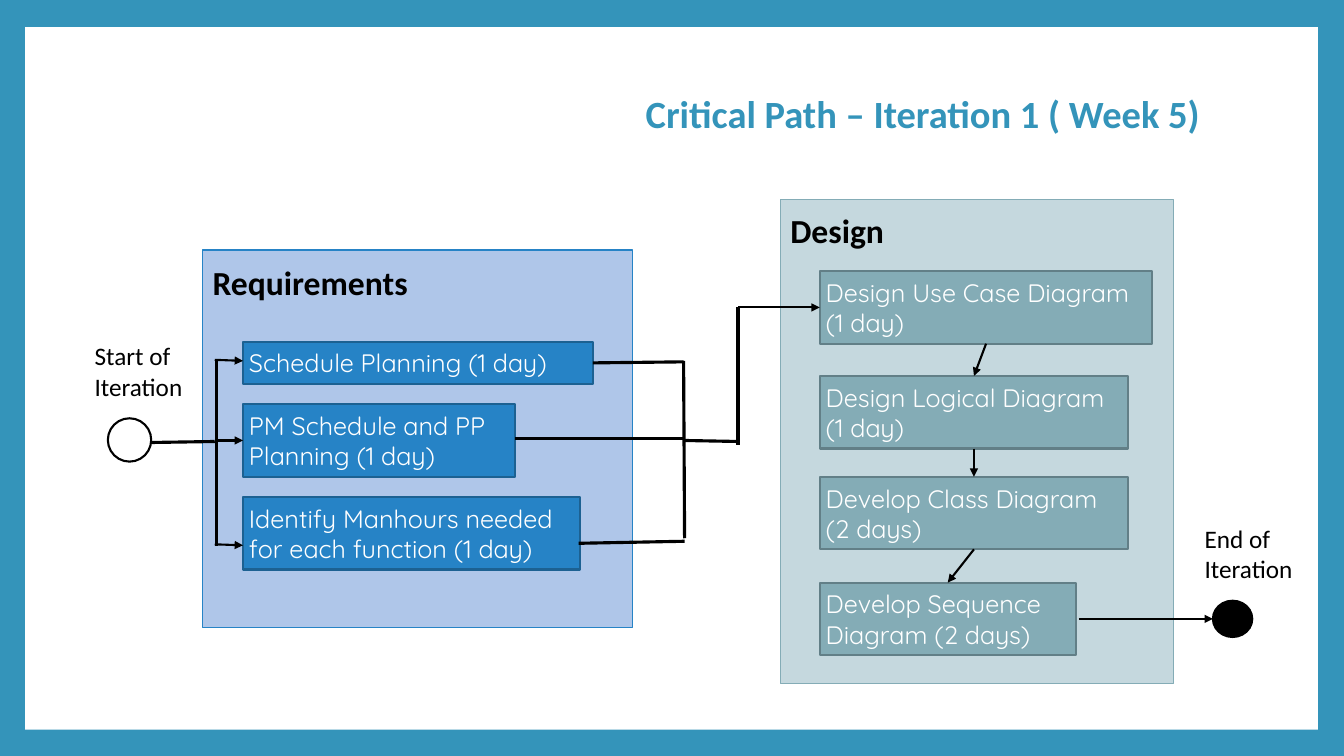
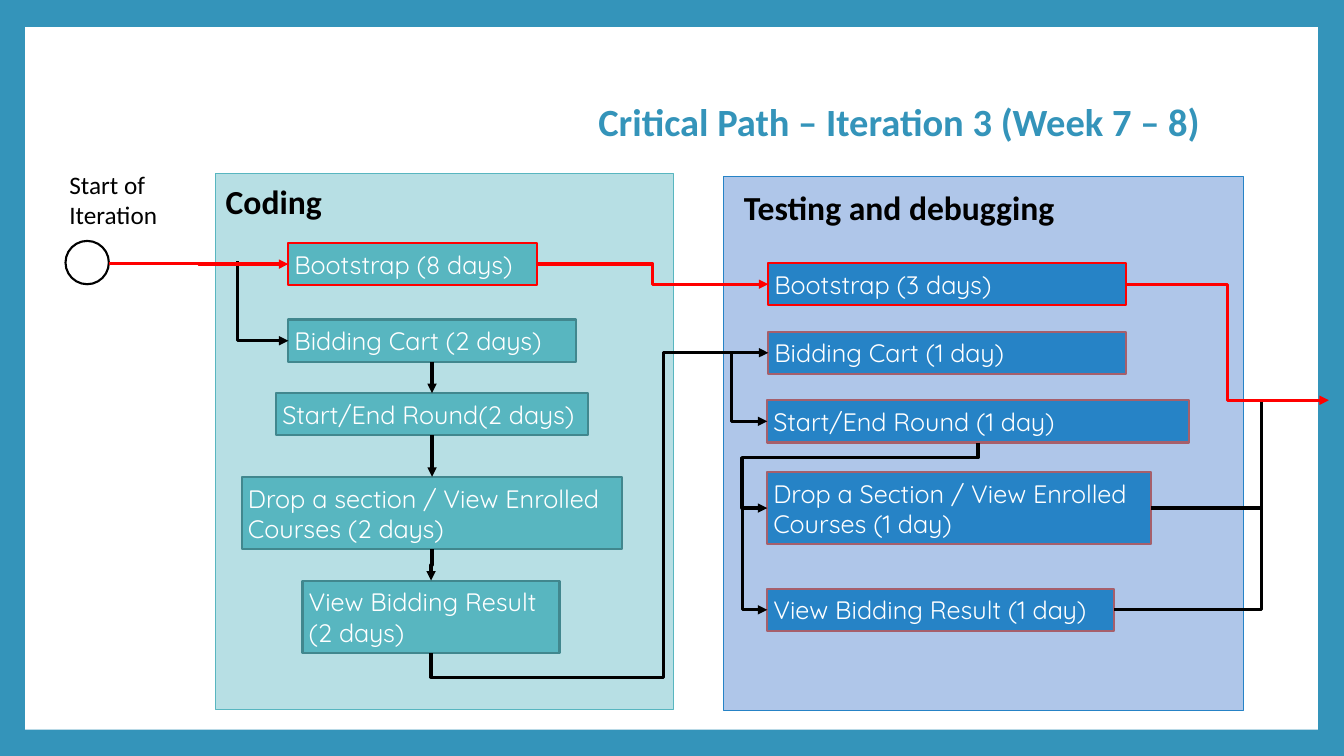
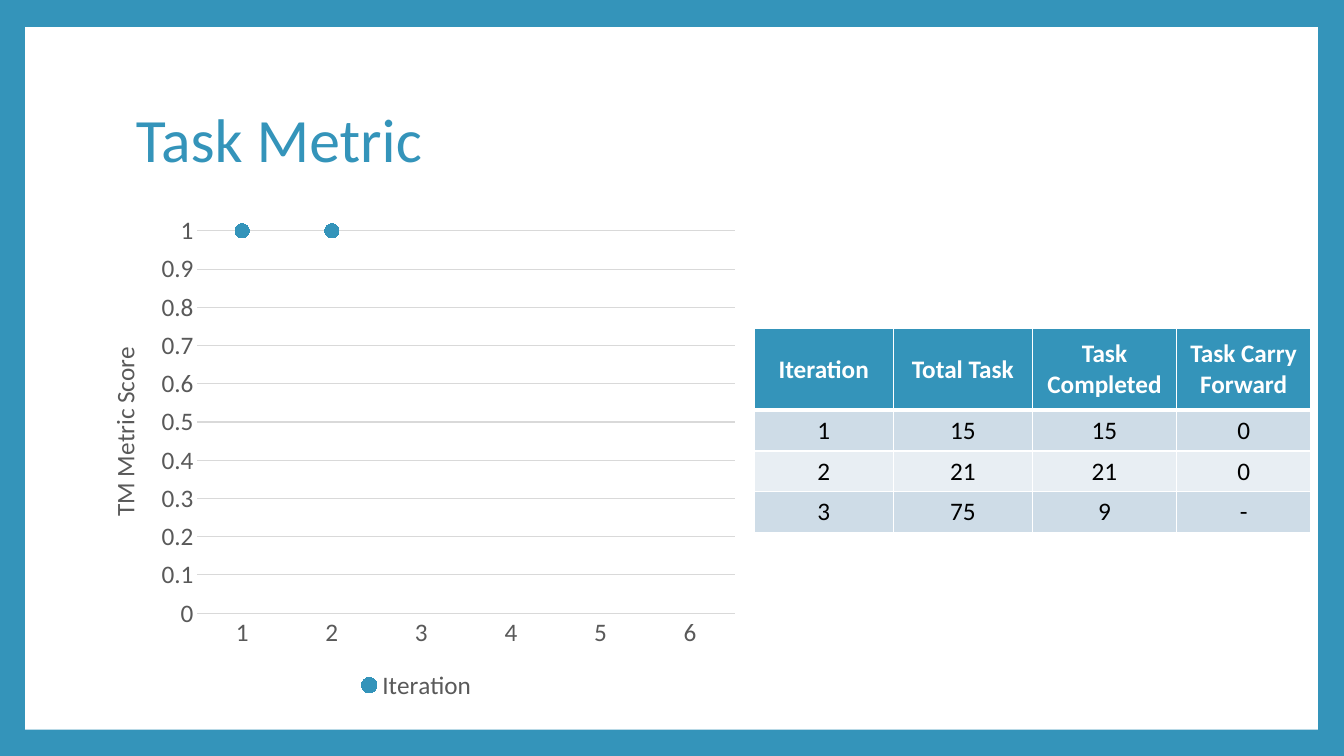
import lxml.etree
import pptx
import pptx.chart.data
import pptx.dml.color
import pptx.enum.chart
import pptx.enum.shapes
import pptx.enum.text
import pptx.oxml.ns
import pptx.util

# Shared look
ACCENT, WHITE, BLACK, RED = "3494BA", "FFFFFF", "000000", "FF0000"
GREY, GRID_GREY = "595959", "D9D9D9"
BLUE, PALE_BLUE = "2683C6", "AFC6E9"
TEAL, PALE_TEAL = "58B6C0", "B7DFE4"
SAGE, PALE_SAGE = "84ACB6", "C5D8DE"
BODY_FONT, TASK_FONT = "Calibri", "Quicksand"

colour = pptx.dml.color.RGBColor.from_string
qualified = pptx.oxml.ns.qn
SHAPES = pptx.enum.shapes.MSO_SHAPE
CONNECTORS = pptx.enum.shapes.MSO_CONNECTOR
ALIGN = pptx.enum.text.PP_ALIGN
ANCHOR = pptx.enum.text.MSO_ANCHOR
TOP, LEFT, BOTTOM, RIGHT = range(4)

# The slide is a grid of 75 rows; columns are as wide as rows are high
presentation = pptx.Presentation()
presentation.slide_width = pptx.util.Inches(13.33)
presentation.slide_height = pptx.util.Inches(7.5)
CELL = presentation.slide_height // 75


def add_box(slide, place, text="", kind=None, fill=None, line=None, width=1.5,
            size=18, font=BODY_FONT, ink=BLACK, bold=False, align=ALIGN.LEFT,
            anchor=ANCHOR.TOP, inset=None, spacing=None):
    """Add a preset shape, or a text box when no kind is given."""
    place = [int(length * CELL) for length in place]
    if kind is None:
        shape = slide.shapes.add_textbox(*place)
    else:
        shape = slide.shapes.add_shape(kind, *place)
        shape.shadow.inherit = False
        shape.fill.solid()
        shape.fill.fore_color.rgb = colour(fill)
        if line:
            shape.line.color.rgb = colour(line)
            shape.line.width = pptx.util.Pt(width)
        else:
            shape.line.fill.background()
    if text:
        frame = shape.text_frame
        frame.word_wrap = True
        frame.vertical_anchor = anchor
        if inset:
            frame.margin_left = frame.margin_right = int(inset * CELL)
            frame.margin_top = frame.margin_bottom = int(inset * CELL)
        paragraph = frame.paragraphs[0]
        paragraph.alignment = align
        paragraph.line_spacing = spacing
        run = paragraph.add_run()
        run.text = text
        run.font.name, run.font.size, run.font.bold = font, pptx.util.Pt(size), bold
        run.font.color.rgb = colour(ink)
    return shape


def add_line(slide, start, end, arrow=True, line=BLACK, width=2.25, bend=None):
    """Join two ends, each a grid point or a (shape, side) pair.

    A bend is a preset number, a turn in degrees, flipped axes and adjustments.
    """
    joined = [hasattr(stop[0], "shape_id") for stop in (start, end)]
    points = [(0, 0) if glued else [int(length * CELL) for length in stop]
              for stop, glued in zip((start, end), joined)]
    connector = slide.shapes.add_connector(
        CONNECTORS.ELBOW if bend else CONNECTORS.STRAIGHT, *points[0], *points[1])
    if joined[0]:
        connector.begin_connect(*start)
    if joined[1]:
        connector.end_connect(*end)
    connector.line.color.rgb = colour(line)
    connector.line.width = pptx.util.Pt(width)
    properties = connector.element.spPr
    if arrow:
        outline = properties.find(qualified("a:ln"))
        lxml.etree.SubElement(outline, qualified("a:tailEnd"), type="triangle")
    lxml.etree.SubElement(properties, qualified("a:effectLst"))
    if bend:
        preset, turn, flips, adjustments = bend
        if turn in (90, 270):
            across, down = connector.width, connector.height
            connector.left += (across - down) // 2
            connector.top += (down - across) // 2
            connector.width, connector.height = down, across
        frame = properties.find(qualified("a:xfrm"))
        frame.set("rot", str(turn * 60000))
        for axis in "HV":
            frame.set("flip" + axis, str(int(axis in flips)))
        geometry = properties.find(qualified("a:prstGeom"))
        geometry.set("prst", f"bentConnector{preset}")
        guides = geometry.find(qualified("a:avLst"))
        for number, share in enumerate(adjustments, 1):
            lxml.etree.SubElement(guides, qualified("a:gd"), name=f"adj{number}",
                                  fmla=f"val {round(share * 100000)}")


# Blue background and white panel, held by the master
master = presentation.slide_master
master.background.fill.solid()
master.background.fill.fore_color.rgb = colour(ACCENT)
blank = presentation.slide_layouts[6]
slides = [presentation.slides.add_slide(blank) for _ in range(3)]
panel = add_box(slides[0], (2.5, 2.7, 128.2, 69.7), kind=SHAPES.RECTANGLE, fill=WHITE)
master.shapes.element.insert(2, panel.element)

# Titles
for slide, place, text, size, bold, align in (
        (slides[0], (15, 7.5, 105, 8), "Critical Path – Iteration 1 ( Week 5)", 27.5, True, ALIGN.RIGHT),
        (slides[1], (15, 7.5, 105, 9.7), "Critical Path – Iteration 3 (Week 7 – 8)", 27.5, True, ALIGN.RIGHT),
        (slides[2], (12.5, 6.7, 108, 14.8), "Task Metric", 44, False, ALIGN.LEFT)):
    add_box(slide, place, text, size=size, ink=ACCENT, bold=bold, align=align,
            anchor=ANCHOR.MIDDLE, spacing=0.9)

# Phases: slide, area, heading place, heading, pale fill, fill, outline, then tasks
# as left, top, width, number of lines, text and outline where it differs
phases = (
    (slides[0], (20.1, 24.8, 42.6, 37.5), (20.1, 25.5, 42.6, 5), "Requirements",
     PALE_BLUE, BLUE, "1C6192", (
         (24.1, 33.9, 34.7, 1, "Schedule Planning (1 day)"),
         (24.1, 40.1, 27, 2, "PM Schedule and PP Planning (1 day)"),
         (24.1, 49.3, 33.4, 2, "Identify Manhours needed for each function (1 day)"))),
    (slides[0], (77.4, 19.8, 39, 48), (77.4, 20.3, 39, 5), "Design",
     PALE_SAGE, SAGE, "627F87", (
         (81.3, 26.9, 33, 2, "Design Use Case Diagram (1 day)"),
         (81.3, 37.3, 30.6, 2, "Design Logical Diagram (1 day)"),
         (81.3, 47.3, 30.6, 2, "Develop Class Diagram (2 days)"),
         (81.3, 57.8, 25.4, 2, "Develop Sequence Diagram (2 days)"))),
    (slides[1], (21.4, 17.2, 45.4, 53.2), (21.4, 17.5, 45.4, 5), "Coding",
     PALE_TEAL, TEAL, "41878E", (
         (28.6, 24.1, 24.7, 1, "Bootstrap (8 days)", RED),
         (28.6, 31.7, 28.5, 1, "Bidding Cart (2 days)"),
         (27.4, 39, 30.9, 1, "Start/End Round(2 days)"),
         (24, 47.3, 37.7, 2, "Drop a section / View Enrolled Courses (2 days)"),
         (30, 57.6, 25.5, 2, "View Bidding Result (2 days)"))),
    (slides[1], (71.8, 17.5, 51.5, 53), (72.8, 18.1, 40.7, 5), "Testing and debugging",
     PALE_BLUE, BLUE, "A65F6B", (
         (76.2, 26.1, 35.5, 1, "Bootstrap (3 days)", RED),
         (76.2, 32.9, 35.5, 1, "Bidding Cart (1 day)"),
         (76.1, 39.7, 41.8, 1, "Start/End Round (1 day)"),
         (76.1, 46.8, 38.1, 2, "Drop a Section / View Enrolled Courses (1 day)"),
         (76.1, 58.4, 34.4, 1, "View Bidding Result (1 day)"))),
)
tasks = {}
for slide, area, heading_place, heading, pale, fill, outline, rows in phases:
    add_box(slide, area, kind=SHAPES.RECTANGLE, fill=pale, line=fill, width=0.8)
    add_box(slide, heading_place, heading, size=24, bold=True)
    tasks[heading] = [
        add_box(slide, (left, top, width, 1.2 + 3 * lines), text, SHAPES.RECTANGLE,
                fill, special[0] if special else outline, font=TASK_FONT, ink=WHITE,
                anchor=ANCHOR.MIDDLE, inset=0.6)
        for left, top, width, lines, text, *special in rows]

# Start and end marks
for slide, circle, fill, label_place, label in (
        (slides[0], (10.7, 41.5, 4.3, 4.3), WHITE, (8.4, 33.3, 11.3, 7.1), "Start of Iteration"),
        (slides[0], (120.3, 59.6, 3.9, 3.6), BLACK, (118.5, 51.4, 11.3, 7.1), "End of Iteration"),
        (slides[1], (6.5, 23.9, 4.3, 4.3), WHITE, (5.9, 16.3, 11.3, 7.1), "Start of Iteration")):
    add_box(slide, circle, kind=SHAPES.OVAL, fill=fill, line=BLACK)
    add_box(slide, label_place, label)

# Iteration 1: fan out to the requirements, gather, then go on to design
schedule, planning, manhours = tasks["Requirements"]
design = tasks["Design"]
for start, end in (
        ((15, 43.9), (21.3, 43.8)),
        ((21.5, 35.7), (21.5, 54.2)),
        ((schedule, RIGHT), (67.8, 35.9)),
        ((51.1, 43.5), (67.8, 43.5)),
        ((57.4, 53.9), (67.9, 53.7)),
        ((67.8, 35.8), (67.9, 53.4)),
        ((67.8, 43.7), (73.3, 43.8)),
        ((73.2, 30.5), (73.2, 44.1))):
    add_line(slides[0], start, end, arrow=False)
for start, end in (
        ((21.3, 35.7), (24.1, 35.8)),
        ((21.5, 43.7), (planning, LEFT)),
        ((21.3, 54), (24.1, 54.1)),
        ((73.2, 30.5), (design[0], LEFT)),
        ((107, 61.4), (120.3, 61.4)),
        *(((upper, BOTTOM), (lower, TOP)) for upper, lower in zip(design, design[1:]))):
    add_line(slides[0], start, end, width=1.5)

# Iteration 3: coding steps run down, then on to testing
coding = tasks["Coding"]
bootstrap, cart, rounds, section, result = tasks["Testing and debugging"]
middle_bend = (3, 0, "", (0.5,))
down_bend = (3, 90, "", (0.5,))
corner_bend = (2, 270, "H", ())
for start, end, bend in (
        ((23.6, 25.9), (coding[1], LEFT), corner_bend),
        *(((upper, BOTTOM), (lower, TOP), down_bend)
          for upper, lower in zip(coding[1:], coding[2:])),
        ((coding[4], BOTTOM), (cart, LEFT), (4, 90, "HV", (-0.08, 0.69))),
        ((69, 35), (rounds, LEFT), middle_bend),
        ((rounds, BOTTOM), (section, LEFT), (4, 90, "", (0.23, 1.12))),
        ((73.6, 46.8), (result, LEFT), corner_bend)):
    add_line(slides[1], start, end, bend=bend)
add_line(slides[1], (125.1, 39.7), (result, RIGHT), arrow=False, bend=(2, 90, "", ()))
add_line(slides[1], (125.1, 50.4), (section, RIGHT), arrow=False)

# Critical path in red
for start, end, bend in (
        ((10.8, 26.1), (coding[0], LEFT), middle_bend),
        ((coding[0], RIGHT), (bootstrap, LEFT), middle_bend),
        ((bootstrap, RIGHT), (131.8, 39.7), middle_bend)):
    add_line(slides[1], start, end, line=RED, bend=bend)

# Task metric chart
chart_data = pptx.chart.data.CategoryChartData()
chart_data.categories = ["1", "2", "3", "4", "5", "6"]
chart_data.add_series("Iteration", (1, 1, None, None, None, None))
chart = slides[2].shapes.add_chart(
    pptx.enum.chart.XL_CHART_TYPE.LINE_MARKERS,
    *(int(length * CELL) for length in (8.4, 20.4, 65.8, 49.6)), chart_data).chart
chart.has_title = False
chart.font.name, chart.font.size = BODY_FONT, pptx.util.Pt(18)
chart.font.color.rgb = colour(GREY)
chart.has_legend = True
chart.legend.position = pptx.enum.chart.XL_LEGEND_POSITION.BOTTOM
chart.legend.include_in_layout = False
chart.plots[0].vary_by_categories = False

series = chart.plots[0].series[0]
series.smooth = False
series.format.line.fill.background()
series.marker.style = pptx.enum.chart.XL_MARKER_STYLE.CIRCLE
series.marker.size = 10
series.marker.format.fill.solid()
series.marker.format.fill.fore_color.rgb = colour(ACCENT)
series.marker.format.line.color.rgb = colour(ACCENT)

value_axis, category_axis = chart.value_axis, chart.category_axis
for axis in (value_axis, category_axis):
    axis.major_tick_mark = axis.minor_tick_mark = pptx.enum.chart.XL_TICK_MARK.NONE
value_axis.minimum_scale, value_axis.maximum_scale, value_axis.major_unit = 0, 1, 0.1
value_axis.format.line.fill.background()
for axis_line in (value_axis.major_gridlines.format.line, category_axis.format.line):
    axis_line.color.rgb = colour(GRID_GREY)
    axis_line.width = pptx.util.Pt(0.75)
run = value_axis.axis_title.text_frame.paragraphs[0].add_run()
run.text = "TM Metric Score"
run.font.name, run.font.size, run.font.bold = BODY_FONT, pptx.util.Pt(18), False
run.font.color.rgb = colour(GREY)

# Task table
table_rows = (
    ("Iteration", "Total Task", "Task Completed", "Task Carry Forward"),
    ("1", "15", "15", "0"),
    ("2", "21", "21", "0"),
    ("3", "75", "9", "-"),
)
table = slides[2].shapes.add_table(
    4, 4, *(int(length * CELL) for length in (74.8, 32.6, 55.2, 20.2))).table
for column, width in zip(table.columns, (13.8, 13.8, 14.3, 13.3)):
    column.width = int(width * CELL)
for row_index, texts in enumerate(table_rows):
    header = row_index == 0
    table.rows[row_index].height = int((8.1 if header else 4.05) * CELL)
    for column_index, text in enumerate(texts):
        cell = table.cell(row_index, column_index)
        properties = cell._tc.get_or_add_tcPr()
        for side in ("lnL", "lnR", "lnT", "lnB"):
            thick = (header and side == "lnB") or (row_index == 1 and side == "lnT")
            border = lxml.etree.SubElement(properties, qualified("a:" + side),
                                           w=str(pptx.util.Pt(3 if thick else 1)))
            border_fill = lxml.etree.SubElement(border, qualified("a:solidFill"))
            lxml.etree.SubElement(border_fill, qualified("a:srgbClr"), val=WHITE)
        cell.fill.solid()
        cell.fill.fore_color.rgb = colour(ACCENT if header else ("E8EEF3", "CEDCE7")[row_index % 2])
        cell.vertical_anchor = ANCHOR.MIDDLE if header else ANCHOR.TOP
        paragraph = cell.text_frame.paragraphs[0]
        paragraph.alignment = ALIGN.CENTER
        run = paragraph.add_run()
        run.text = text
        run.font.name, run.font.size, run.font.bold = BODY_FONT, pptx.util.Pt(18), header
        run.font.color.rgb = colour(WHITE if header else BLACK)

presentation.save("out.pptx")
